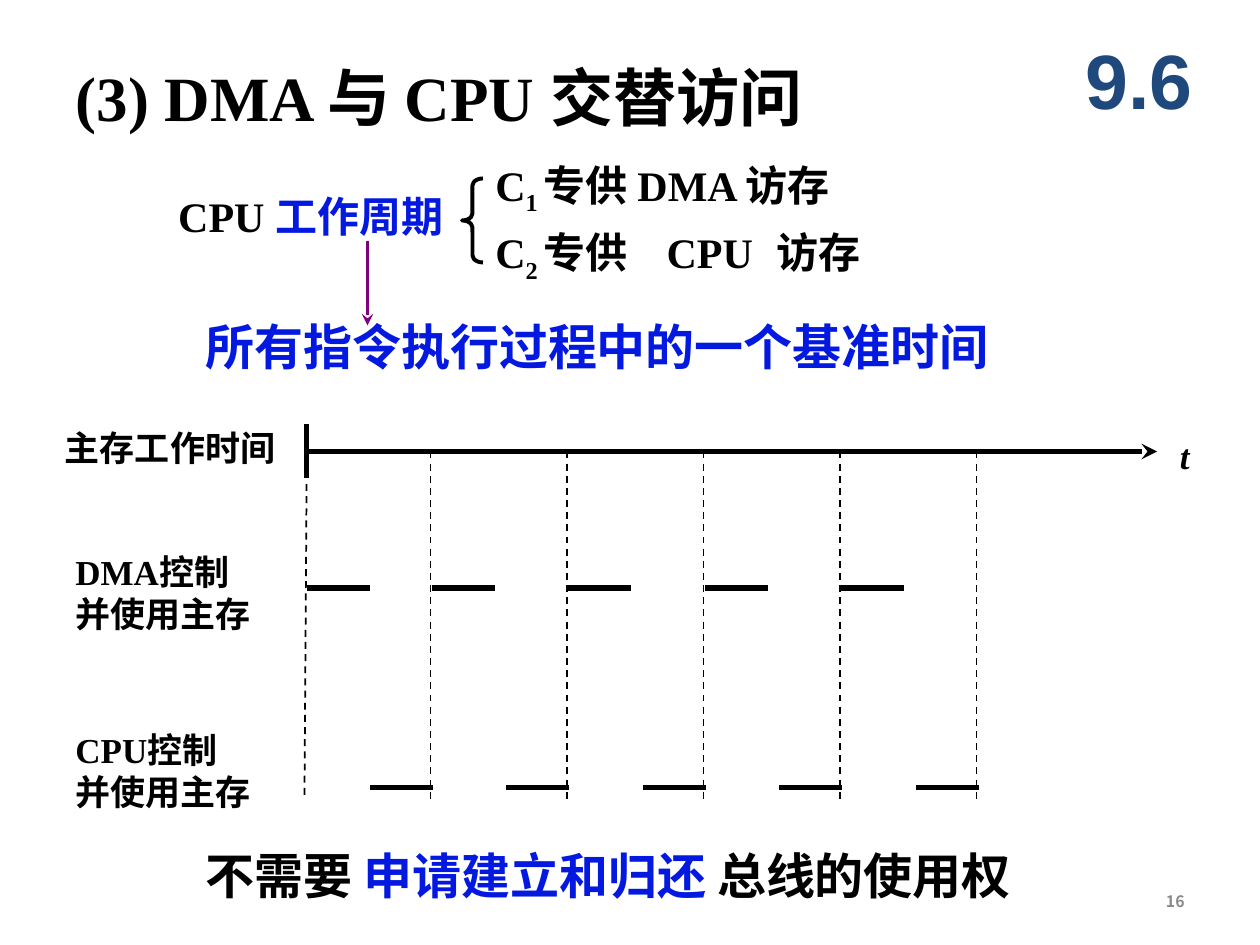
from dataclasses import dataclass
from typing import Optional

import lxml.etree
import pptx
import pptx.dml.color
import pptx.enum.dml
import pptx.enum.shapes
import pptx.enum.text
import pptx.oxml.ns
import pptx.util

BLACK, BLUE, PURPLE, NAVY, GRAY = "000000", "0419E0", "800080", "1F497D", "898989"
SERIF = "Times New Roman"
LEFT = pptx.enum.text.PP_ALIGN.LEFT
CENTER = pptx.enum.text.PP_ALIGN.CENTER
RIGHT = pptx.enum.text.PP_ALIGN.RIGHT
TOP = pptx.enum.text.MSO_ANCHOR.TOP
MIDDLE = pptx.enum.text.MSO_ANCHOR.MIDDLE

SLIDE_WIDTH, SLIDE_HEIGHT = pptx.util.Inches(10), pptx.util.Inches(7.5)
COLUMNS, ROWS = 120, 90

PERIOD, PERIODS = 13, 5
ORIGIN, FIRST_BOUNDARY = 29.2, 41
BOUNDARIES = [FIRST_BOUNDARY + PERIOD * index for index in range(PERIODS)]
AXIS_ROW, DMA_ROW, CPU_ROW, BOUNDARY_END = 43, 56, 75, 76.1
ACCESS_LENGTH, ACCESS_SHIFT = 6, 0.2


@dataclass
class Run:
    text: str
    color: Optional[str] = None
    subscript: bool = False


@dataclass
class Label:
    column: float
    row: float
    columns: float
    rows: float
    paragraphs: list[list[Run]]
    size: float
    color: str = BLACK
    font: str = SERIF
    italic: bool = False
    wrap: bool = True
    align: int = LEFT
    anchor: int = TOP
    tabs: tuple[float, ...] = ()


@dataclass
class Line:
    start: tuple[float, float]
    end: tuple[float, float]
    width: float = 3
    color: str = BLACK
    dashed: bool = False
    arrow: bool = False


def across(columns: float) -> int:
    return round(SLIDE_WIDTH * columns / COLUMNS)


def down(rows: float) -> int:
    return round(SLIDE_HEIGHT * rows / ROWS)


def rgb(color: str) -> pptx.dml.color.RGBColor:
    return pptx.dml.color.RGBColor.from_string(color)


def add_child(parent, tag: str, **attributes: str):
    return lxml.etree.SubElement(parent, pptx.oxml.ns.qn(tag), attributes)


def fill_label(shape, label: Label) -> None:
    shape.left, shape.top = across(label.column), down(label.row)
    shape.width, shape.height = across(label.columns), down(label.rows)
    frame = shape.text_frame
    frame.word_wrap = label.wrap
    frame.auto_size = pptx.enum.text.MSO_AUTO_SIZE.NONE
    frame.vertical_anchor = label.anchor
    for index, runs in enumerate(label.paragraphs):
        paragraph = frame.add_paragraph() if index else frame.paragraphs[0]
        paragraph.alignment = label.align
        if label.tabs:
            tab_list = add_child(paragraph._p.get_or_add_pPr(), "a:tabLst")
            for stop in label.tabs:
                add_child(tab_list, "a:tab", pos=str(across(stop)), algn="l")
        paragraph.font.name = label.font
        paragraph.font.size = pptx.util.Pt(label.size)
        paragraph.font.bold = True
        paragraph.font.italic = label.italic
        paragraph.font.color.rgb = rgb(label.color)
        for part in runs:
            run = paragraph.add_run()
            run.text = part.text
            if part.color:
                run.font.color.rgb = rgb(part.color)
            if part.subscript:
                run._r.get_or_add_rPr().set("baseline", "-25000")


def draw_label(slide, label: Label) -> None:
    fill_label(slide.shapes.add_textbox(0, 0, 0, 0), label)


def draw_line(slide, line: Line) -> None:
    connector = slide.shapes.add_connector(
        pptx.enum.shapes.MSO_CONNECTOR.STRAIGHT,
        across(line.start[0]), down(line.start[1]),
        across(line.end[0]), down(line.end[1]),
    )
    connector.line.color.rgb = rgb(line.color)
    connector.line.width = pptx.util.Pt(line.width)
    if line.dashed:
        connector.line.dash_style = pptx.enum.dml.MSO_LINE.DASH
    if line.arrow:
        add_child(connector.line._get_or_add_ln(), "a:tailEnd", type="stealth")
    add_child(connector._element.spPr, "a:effectLst")


def draw_brace(slide) -> None:
    brace = slide.shapes.add_shape(
        pptx.enum.shapes.MSO_SHAPE.LEFT_BRACE,
        across(44), down(17), across(2), down(8),
    )
    brace.adjustments[0] = 0.33
    brace.shadow.inherit = False
    brace.fill.background()
    brace.line.color.rgb = rgb(BLACK)
    brace.line.width = pptx.util.Pt(2.25)


def timing_lines() -> list[Line]:
    lines = [
        Line((ORIGIN, 40.4), (ORIGIN, 45.5)),
        Line((ORIGIN, AXIS_ROW), (110.2, AXIS_ROW), arrow=True),
        Line((ORIGIN, 46.1), (29, 75.8), width=1, dashed=True),
    ]
    starts = [ORIGIN] + [column + ACCESS_SHIFT / 2 for column in BOUNDARIES[:-1]]
    for start, boundary in zip(starts, BOUNDARIES):
        cpu_end = boundary + ACCESS_SHIFT
        lines += [
            Line((start, DMA_ROW), (start + ACCESS_LENGTH, DMA_ROW)),
            Line((cpu_end - ACCESS_LENGTH, CPU_ROW), (cpu_end, CPU_ROW)),
            Line((boundary, AXIS_ROW), (boundary, BOUNDARY_END), width=1, dashed=True),
        ]
    return lines


TITLE = Label(6, 5, 83, 8.4, [[Run("(3) DMA 与 CPU 交替访问")]], 36)

LABELS = [
    Label(5, 40, 22.5, 5.2, [[Run("主存工作时间")]], 20, wrap=False),
    Label(6, 51.8, 19.2, 9.2, [[Run("DMA控制")], [Run("并使用主存")]], 20, wrap=False),
    Label(6, 68.8, 19.2, 9.2, [[Run("CPU控制")], [Run("并使用主存")]], 20, wrap=False),
    Label(111.2, 40.8, 3.4, 5.2, [[Run("t")]], 20, italic=True, wrap=False),
    Label(15.8, 17.6, 30.2, 6, [[Run("CPU "), Run("工作周期", BLUE)]], 24),
    Label(46, 14.6, 53, 6,
          [[Run("C"), Run("1 ", subscript=True), Run("专供 DMA 访存")]], 24),
    Label(46, 21, 46, 6,
          [[Run("C"), Run("2 ", subscript=True), Run("专供\tCPU\t访存")]], 24,
          tabs=(16.3, 26.8)),
    Label(18.4, 29.6, 91.2, 6.8, [[Run("所有指令执行过程中的一个基准时间")]], 28, BLUE),
    Label(101, 2, 15, 11, [[Run("9.6")]], 44, NAVY, "Arial", align=CENTER, anchor=MIDDLE),
    Label(18.4, 79.9, 96.4, 6.8,
          [[Run("不需要 "), Run("申请建立和归还 ", BLUE), Run("总线的使用权")]], 28),
    Label(86, 83.4, 28, 4.8, [[Run("16")]], 9, GRAY, "Noto Sans CJK SC",
          align=RIGHT, anchor=MIDDLE),
]


def main() -> None:
    presentation = pptx.Presentation()
    presentation.slide_width, presentation.slide_height = SLIDE_WIDTH, SLIDE_HEIGHT
    slide = presentation.slides.add_slide(presentation.slide_layouts[5])
    fill_label(slide.shapes.title, TITLE)
    for line in timing_lines():
        draw_line(slide, line)
    for label in LABELS:
        draw_label(slide, label)
    draw_brace(slide)
    draw_line(slide, Line((35, 23), (35, 31), 2.25, PURPLE, arrow=True))
    presentation.save("out.pptx")


if __name__ == "__main__":
    main()
